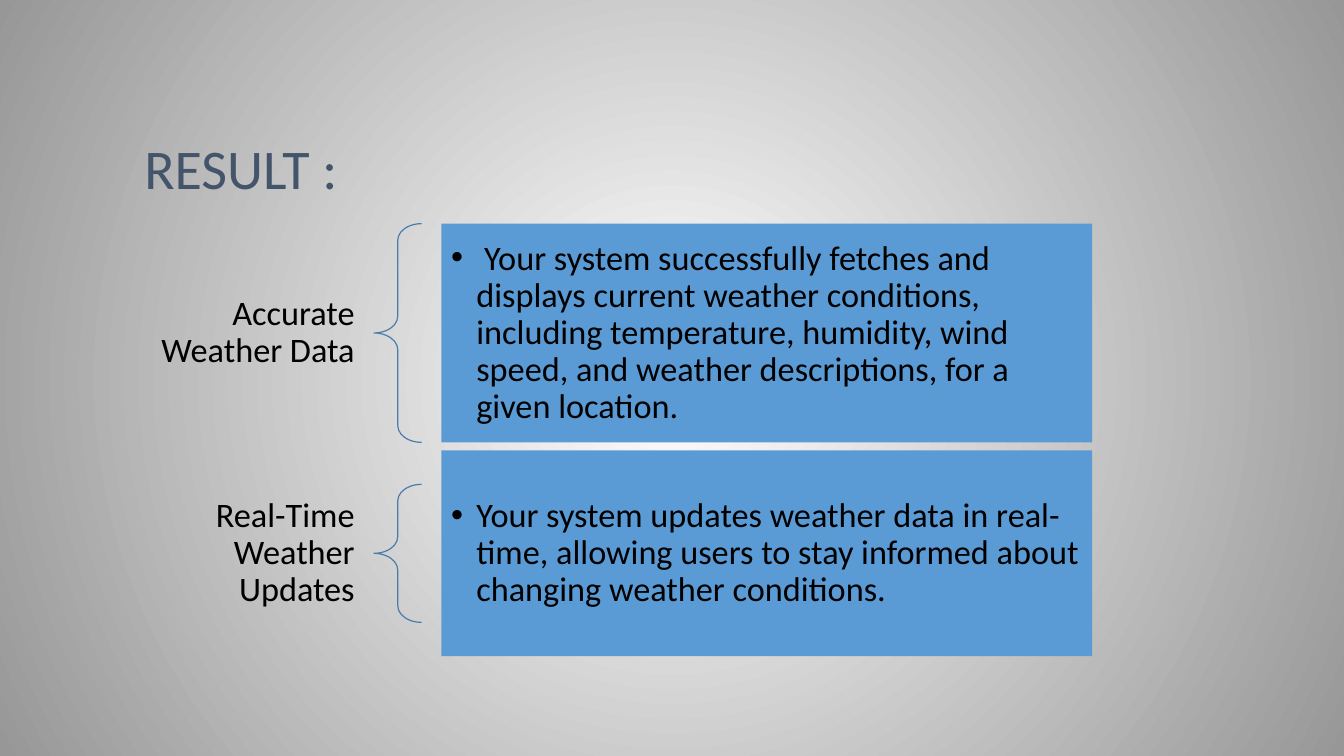
from lxml import etree
from pptx import Presentation
from pptx.dml.color import RGBColor
from pptx.enum.shapes import MSO_SHAPE
from pptx.enum.text import MSO_ANCHOR, PP_ALIGN
from pptx.oxml.ns import qn
from pptx.util import Pt

RECTANGLE, LEFT_BRACE = MSO_SHAPE.RECTANGLE, MSO_SHAPE.LEFT_BRACE
BOTTOM, MIDDLE = MSO_ANCHOR.BOTTOM, MSO_ANCHOR.MIDDLE
LEFT, RIGHT = PP_ALIGN.LEFT, PP_ALIGN.RIGHT

TITLE = "RESULT :"
RESULTS = [
    {
        "label": "Accurate Weather Data",
        "detail": " Your system successfully fetches and displays current weather "
                  "conditions, including temperature, humidity, wind speed, and "
                  "weather descriptions, for a given location.",
        "height": 156.2, "brace_height": 156.2, "label_height": 65.5,
    },
    {
        "label": "Real-Time Weather Updates",
        "detail": "Your system updates weather data in real-time, allowing users "
                  "to stay informed about changing weather conditions.",
        "height": 147, "brace_height": 98.6, "label_height": 93,
    },
]

THEME = {
    "font": "Calibri", "title_size": 40, "body_size": 24.5,
    "title": "44546A", "text": "000000", "panel": "5B9BD5", "brace": "497CAB",
    "background": ("FFFFFF", "979797"),
}

SLIDE_SIZE = (960, 540)
TITLE_BOX = (96, 21.6, 768, 126)
LABEL_LEFT, LABEL_WIDTH = 96.5, 170.6
BRACE_LEFT, BRACE_WIDTH = LABEL_LEFT + LABEL_WIDTH, 34
PANEL_LEFT, PANEL_WIDTH = 315.2, 465
ROWS_TOP, ROW_GAP = 159.8, 5.8
BULLET_INDENT = 18


def color(name):
    return RGBColor.from_string(THEME[name])


def apply(target, values):
    for name, value in values.items():
        setattr(target, name, value)


def write(shape, text, margins, size="body_size", ink="text", anchor=MIDDLE, align=LEFT):
    frame = shape.text_frame
    horizontal, vertical = margins
    apply(frame, {
        "word_wrap": True, "vertical_anchor": anchor,
        "margin_left": Pt(horizontal), "margin_right": Pt(horizontal),
        "margin_top": Pt(vertical), "margin_bottom": Pt(vertical),
    })
    paragraph = frame.paragraphs[0]
    apply(paragraph, {"alignment": align, "line_spacing": 0.9})
    run = paragraph.add_run()
    run.text = text
    apply(run.font, {"name": THEME["font"], "size": Pt(THEME[size])})
    run.font.color.rgb = color(ink)
    return paragraph


def add_bullet(paragraph):
    properties = paragraph._p.get_or_add_pPr()
    properties.set("marL", str(Pt(BULLET_INDENT)))
    properties.set("indent", str(-Pt(BULLET_INDENT)))
    etree.SubElement(properties, qn("a:buFont"), typeface="Arial")
    etree.SubElement(properties, qn("a:buChar"), char="•")


def add_background(slide):
    fill = slide.background.fill
    fill.gradient()
    for stop, value, position in zip(fill.gradient_stops, THEME["background"], (0, 1)):
        stop.color.rgb = RGBColor.from_string(value)
        stop.position = position
    gradient = slide.element.find(".//" + qn("a:gradFill"))
    gradient.remove(gradient.find(qn("a:lin")))
    circle = etree.SubElement(gradient, qn("a:path"), {"path": "circle"})
    etree.SubElement(circle, qn("a:fillToRect"), dict.fromkeys("ltrb", "50000"))


def add_result(slide, result, top):
    middle = top + result["height"] / 2

    def centered(left, width, height):
        return [Pt(value) for value in (left, middle - height / 2, width, height)]

    label = slide.shapes.add_textbox(
        *centered(LABEL_LEFT, LABEL_WIDTH, result["label_height"]))
    write(label, result["label"], (13.7, 5), align=RIGHT)

    brace = slide.shapes.add_shape(
        LEFT_BRACE, *centered(BRACE_LEFT, BRACE_WIDTH, result["brace_height"]))
    brace.shadow.inherit = False
    brace.fill.background()
    brace.adjustments[0], brace.adjustments[1] = 0.35, 0.5
    brace.line.color.rgb = color("brace")
    brace.line.width = Pt(0.85)

    panel = slide.shapes.add_shape(
        RECTANGLE, *centered(PANEL_LEFT, PANEL_WIDTH, result["height"]))
    panel.shadow.inherit = False
    panel.fill.solid()
    panel.fill.fore_color.rgb = color("panel")
    panel.line.fill.background()
    add_bullet(write(panel, result["detail"], (7.2, 7.2)))


def main():
    presentation = Presentation()
    presentation.slide_width, presentation.slide_height = map(Pt, SLIDE_SIZE)
    slide = presentation.slides.add_slide(presentation.slide_layouts[6])
    add_background(slide)
    title = slide.shapes.add_textbox(*map(Pt, TITLE_BOX))
    write(title, TITLE, (7.2, 3.6), "title_size", "title", BOTTOM)
    top = ROWS_TOP
    for result in RESULTS:
        add_result(slide, result, top)
        top += result["height"] + ROW_GAP
    presentation.save("out.pptx")


if __name__ == "__main__":
    main()
